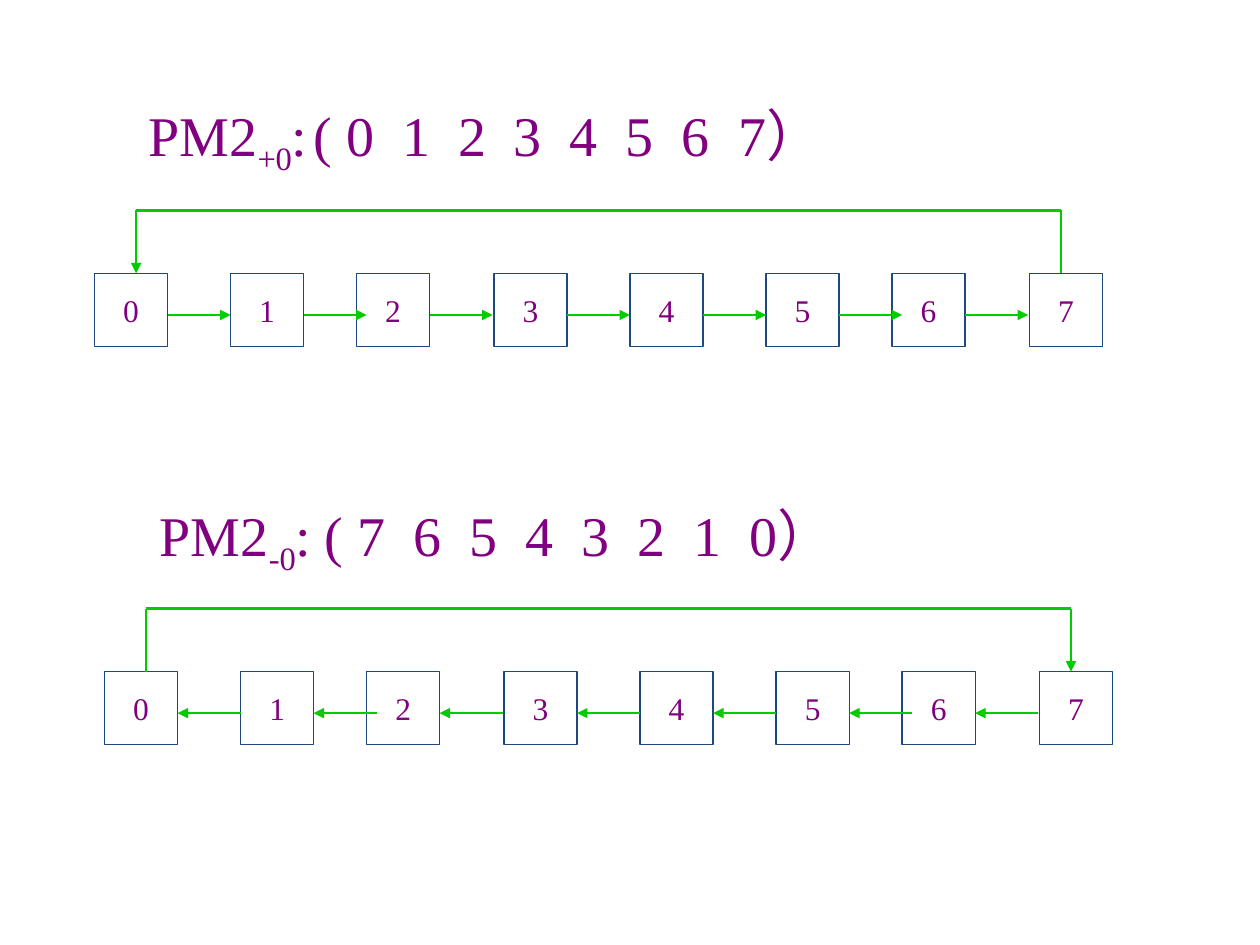
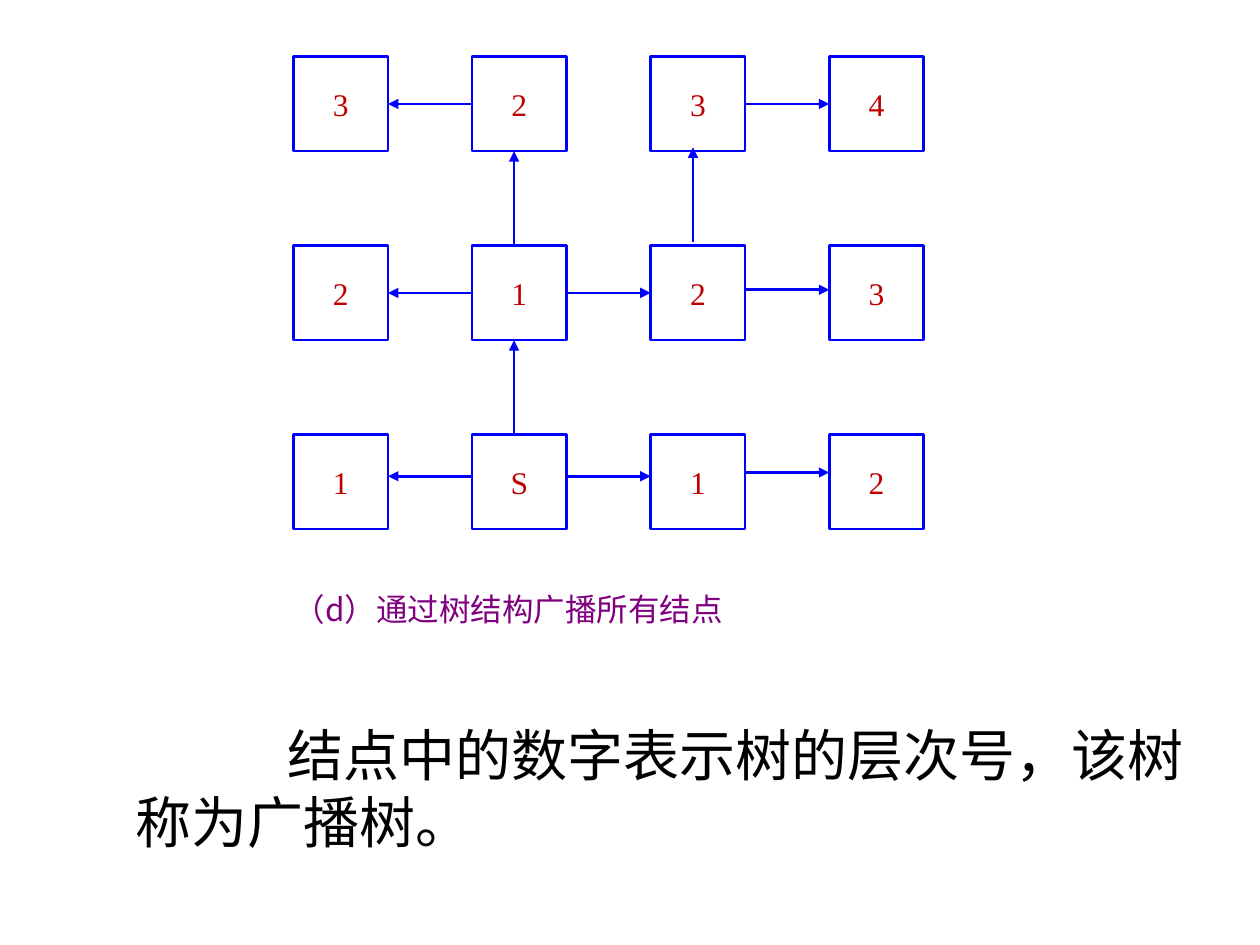
from lxml import etree
from pptx import Presentation
from pptx.dml.color import RGBColor
from pptx.enum.shapes import MSO_CONNECTOR, MSO_SHAPE
from pptx.enum.text import MSO_ANCHOR, PP_ALIGN
from pptx.oxml.ns import qn
from pptx.util import Inches, Pt

STRAIGHT = MSO_CONNECTOR.STRAIGHT
RECTANGLE = MSO_SHAPE.RECTANGLE
MIDDLE = MSO_ANCHOR.MIDDLE
CENTER = PP_ALIGN.CENTER

COLORS = {
    "purple": "800080",
    "navy": "1F497D",
    "green": "00CC00",
    "blue": "0000FF",
    "red": "C00000",
    "black": "000000",
}
SERIF = "Times New Roman"
SANS = "Noto Sans CJK SC"
TOP, LEFT, BOTTOM, RIGHT = range(4)

CHAIN_OFFSETS = [0, 1.08, 2.08, 3.17, 4.25, 5.33, 6.33, 7.42]
CHAIN_BOX = 0.58
CHAIN_GAP = 0.5

TREE_LEVELS = ["3234", "2123", "1S12"]
TREE_LEFT, TREE_TOP = 2.33, 0.45
TREE_BOX = 0.75
TREE_STEP_X, TREE_STEP_Y = 1.417, 1.5


def rgb(color):
    """Return the named colour as an RGBColor."""
    return RGBColor.from_string(COLORS[color])


def style_font(paragraph, size, color, name=SERIF):
    """Set size, colour and typeface for a whole paragraph."""
    paragraph.font.size = Pt(size)
    paragraph.font.name = name
    paragraph.font.color.rgb = rgb(color)


def add_node(slide, label, left, top, side, outline, width, color):
    """Draw a square node with a centred label."""
    node = slide.shapes.add_shape(
        RECTANGLE, Inches(left), Inches(top), Inches(side), Inches(side))
    node.shadow.inherit = False
    node.fill.background()
    node.line.color.rgb = rgb(outline)
    node.line.width = Pt(width)
    frame = node.text_frame
    frame.word_wrap = False
    frame.vertical_anchor = MIDDLE
    paragraph = frame.paragraphs[0]
    paragraph.text = label
    paragraph.alignment = CENTER
    style_font(paragraph, 18, color)
    return node


def add_line(slide, start, end, color, arrow=None):
    """Draw a straight line; arrow is None, "headEnd" or "tailEnd"."""
    line = slide.shapes.add_connector(
        STRAIGHT, *(Inches(value) for value in (*start, *end)))
    line.line.color.rgb = rgb(color)
    line.line.width = Pt(1.5)
    if arrow:
        outline = line.line._get_or_add_ln()
        etree.SubElement(outline, qn("a:" + arrow), type="triangle")
    etree.SubElement(line._element.spPr, qn("a:effectLst"))
    return line


def add_text(slide, left, top, width, height, margin=0, indent=0):
    """Add a wrapping text box and return its frame and first paragraph."""
    box = slide.shapes.add_textbox(
        Inches(left), Inches(top), Inches(width), Inches(height))
    frame = box.text_frame
    frame.word_wrap = True
    paragraph = frame.paragraphs[0]
    properties = paragraph._p.get_or_add_pPr()
    properties.set("marL", str(Inches(margin)))
    properties.set("indent", str(Inches(indent)))
    return frame, paragraph


def add_cycle_title(slide, left, top, subscript, cycle):
    """Write the permutation name and its cycle with widely spaced digits."""
    paragraph = add_text(slide, left, top, 8.08, 0.67, 0.81, -0.31)[1]
    runs = ["PM2", subscript, ":\t( ", " ".join(cycle[:-1]) + " ", cycle[-1] + "）"]
    for text in runs:
        paragraph.add_run().text = text
    paragraph.runs[1].font._element.set("baseline", "-25000")
    paragraph.runs[3].font._element.set("spc", "400")
    style_font(paragraph, 32, "purple")


def add_chain(slide, left, top, forward):
    """Draw eight nodes linked in a ring, forwards or backwards."""
    link_y = top + 0.33
    for number, offset in enumerate(CHAIN_OFFSETS):
        add_node(slide, str(number), left + offset, top, CHAIN_BOX,
                 "navy", 0.75, "purple")
    for offset in CHAIN_OFFSETS[:-1]:
        start = left + offset + CHAIN_BOX
        add_line(slide, (start, link_y), (start + CHAIN_GAP, link_y), "green",
                 "tailEnd" if forward else "headEnd")
    first, last, loop_y = left + 0.33, left + 7.67, top - 0.5
    add_line(slide, (first, loop_y), (first, top), "green",
             "tailEnd" if forward else None)
    add_line(slide, (last, loop_y), (last, top), "green",
             None if forward else "tailEnd")
    add_line(slide, (first, loop_y), (last, loop_y), "green")


def add_tree(slide):
    """Draw the grid of nodes and the broadcast arrows between them."""
    nodes = [
        [add_node(slide, label, TREE_LEFT + column * TREE_STEP_X,
                  TREE_TOP + row * TREE_STEP_Y, TREE_BOX, "blue", 1.5, "red")
         for column, label in enumerate(level)]
        for row, level in enumerate(TREE_LEVELS)
    ]
    middle = TREE_BOX / 2
    across = [
        (0, 1, 0, middle), (0, 2, 3, middle),
        (1, 1, 0, middle), (1, 1, 2, middle), (1, 2, 3, 0.35),
        (2, 1, 0, 0.33), (2, 1, 2, 0.33), (2, 2, 3, 0.3),
    ]
    for row, source, target, drop in across:
        y = TREE_TOP + row * TREE_STEP_Y + drop
        rightward = target > source
        source_x = TREE_LEFT + source * TREE_STEP_X + TREE_BOX * rightward
        target_x = TREE_LEFT + target * TREE_STEP_X + TREE_BOX * (not rightward)
        arrow = add_line(slide, (source_x, y), (target_x, y), "blue", "tailEnd")
        if drop == middle:
            sides = (RIGHT, LEFT) if rightward else (LEFT, RIGHT)
            arrow.begin_connect(nodes[row][source], sides[0])
            arrow.end_connect(nodes[row][target], sides[1])
    for x, y in [(4.08, 1.95), (4.08, 3.45), (5.5, 1.92)]:
        add_line(slide, (x, y), (x, y - TREE_BOX), "blue", "tailEnd")


def add_caption(slide, text):
    """Write the figure caption under the tree."""
    frame, paragraph = add_text(slide, 2.33, 4.68, 5.17, 0.4)
    frame.margin_left = frame.margin_right = 0
    frame.margin_top = frame.margin_bottom = 0
    paragraph.text = text
    style_font(paragraph, 18, "purple", SANS)


def add_explanation(slide, text):
    """Write the explanation with a deep first-line indent."""
    paragraph = add_text(slide, 0.17, 5.67, 9.58, 1.42, 0.81, 1.2)[1]
    paragraph.text = text
    style_font(paragraph, 32, "black")


def main():
    """Build both slides and save them."""
    deck = Presentation()
    deck.slide_width, deck.slide_height = Inches(10), Inches(7.5)
    blank = deck.slide_layouts[6]

    rings = deck.slides.add_slide(blank)
    add_cycle_title(rings, 0.58, 0.75, "+0", "01234567")
    add_chain(rings, 0.75, 2.17, True)
    add_cycle_title(rings, 0.67, 3.92, "-0", "76543210")
    add_chain(rings, 0.83, 5.33, False)

    broadcast = deck.slides.add_slide(blank)
    add_tree(broadcast)
    add_caption(broadcast, "（d）通过树结构广播所有结点")
    add_explanation(broadcast, "结点中的数字表示树的层次号，该树称为广播树。")
    deck.save("out.pptx")


if __name__ == "__main__":
    main()
